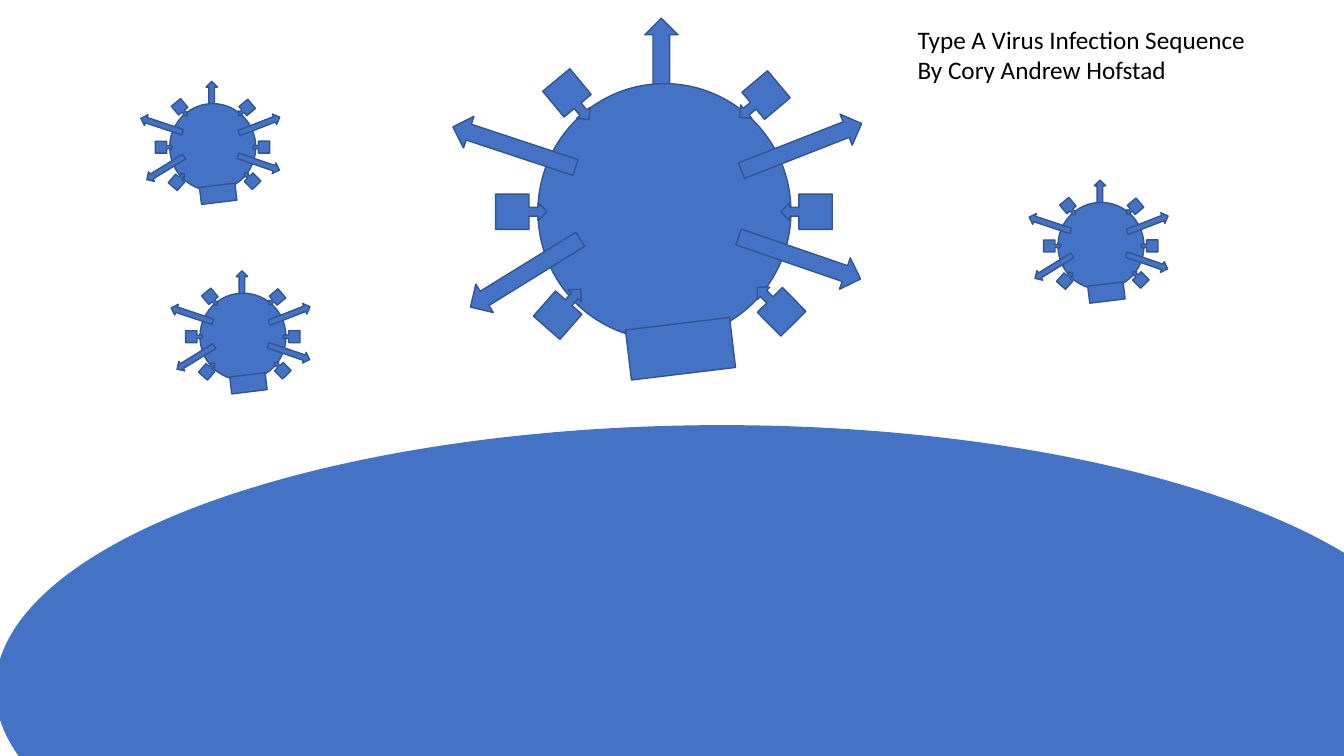
from pptx import Presentation
from pptx import util as u
from pptx.dml.color import RGBColor
from pptx.enum import shapes, text

TITLE = ["Type A Virus Infection Sequence", "By Cory Andrew Hofstad"]
COLORS = {"fill": "4472C4", "edge": "325491", "text": "000000"}
M = shapes.MSO_SHAPE

PARTS = {
    "spike": (M.RIGHT_ARROW, 1.28, 0.33),
    "body": (M.OVAL, 2.51, 2.54),
    "receptor": (M.LEFT_ARROW_CALLOUT, 0.51, 0.35),
    "base": (M.RECTANGLE, 1.04, 0.5),
}
# part, centre offset from the body centre, rotation
VIRUS = [
    ("spike", -0.03, -1.28, 270),
    ("body", 0, 0, 0),
    ("receptor", 1.41, 0, 0),
    ("receptor", -1.42, 0, 180),
    ("receptor", 1.1, 0.93, 45.3),
    ("receptor", 0.94, -1.1, 320),
    ("receptor", -0.91, -1.11, 230.3),
    ("receptor", -1, 0.96, 131.3),
    ("spike", 1.36, -0.64, 338.6),
    ("spike", 1.34, 0.46, 19),
    ("spike", -1.49, -0.64, 198.3),
    ("spike", -1.38, 0.61, 148.3),
    ("base", 0.16, 1.36, 353.1),
]
SMALL = 0.34
LARGE_VIRUS = (6.59, 2.1, 1)
SMALL_VIRUSES = [(10.92, 2.44, SMALL), (2.41, 3.34, SMALL), (2.11, 1.46, SMALL)]
CELL = (7.16, 6.84, 14.4, 5.23)


def rgb(key):
    return RGBColor.from_string(COLORS[key])


def add_part(parent, kind, cx, cy, w, h, edge, rotation=0):
    sp = parent.add_shape(kind, u.Inches(cx - w / 2), u.Inches(cy - h / 2),
                          u.Inches(w), u.Inches(h))
    sp.rotation = rotation
    sp.shadow.inherit = False
    sp.fill.solid()
    sp.fill.fore_color.rgb = rgb("fill")
    sp.line.color.rgb = rgb(edge)
    sp.line.width = u.Pt(1)


def add_virus(cx, cy, scale):
    group = s.shapes.add_group_shape()
    for part, dx, dy, rotation in VIRUS:
        kind, w, h = PARTS[part]
        add_part(group.shapes, kind, cx + dx * scale, cy + dy * scale,
                 w * scale, h * scale, "edge", rotation)


prs = Presentation()
prs.slide_width, prs.slide_height = u.Inches(13.33), u.Inches(7.5)
s = prs.slides.add_slide(prs.slide_layouts[5])

title = s.shapes.title
title.left, title.top = u.Inches(9), u.Inches(0.19)
title.width, title.height = u.Inches(4.13), u.Inches(0.71)
tf = title.text_frame
tf.word_wrap = True
tf.auto_size = text.MSO_AUTO_SIZE.SHAPE_TO_FIT_TEXT
tf.vertical_anchor = text.MSO_ANCHOR.TOP
for i, line in enumerate(TITLE):
    p = tf.add_paragraph() if i else tf.paragraphs[0]
    p.alignment = text.PP_ALIGN.LEFT
    r = p.add_run()
    r.text = line
    r.font.name = "Calibri"
    r.font.size = u.Pt(18)
    r.font.color.rgb = rgb("text")

add_virus(*LARGE_VIRUS)
add_part(s.shapes, M.OVAL, *CELL, "fill")
for virus in SMALL_VIRUSES:
    add_virus(*virus)

prs.save("out.pptx")
